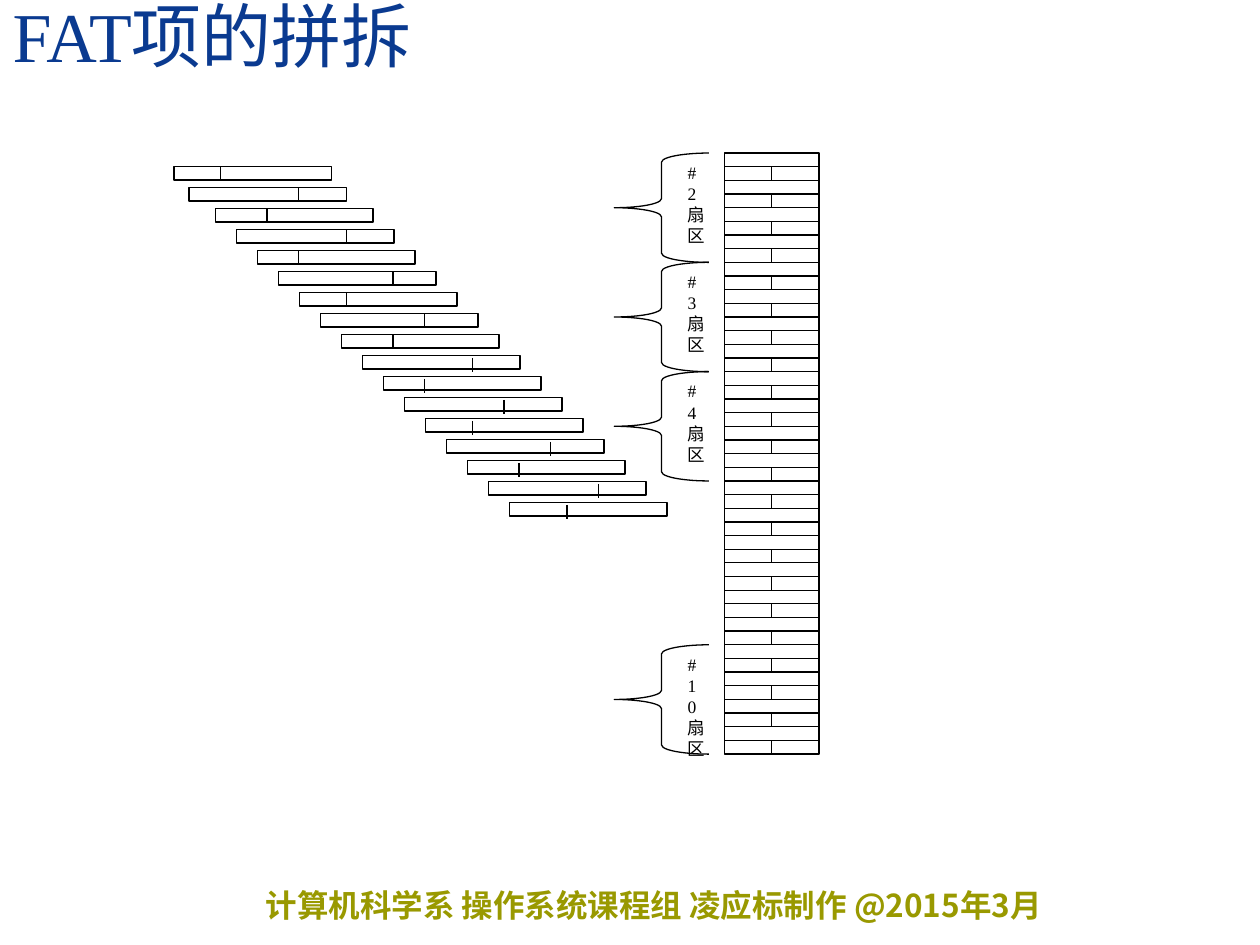
from lxml import etree
from pptx import Presentation
from pptx.dml.color import RGBColor
from pptx.enum.shapes import MSO_CONNECTOR, MSO_SHAPE
from pptx.enum.text import MSO_ANCHOR, MSO_AUTO_SIZE, PP_ALIGN
from pptx.oxml.ns import qn
from pptx.util import Inches, Pt

RECT, BRACE = MSO_SHAPE.RECTANGLE, MSO_SHAPE.LEFT_BRACE
STRAIGHT = MSO_CONNECTOR.STRAIGHT
TOP, BOTTOM = MSO_ANCHOR.TOP, MSO_ANCHOR.BOTTOM
LEFT, JUSTIFY = PP_ALIGN.LEFT, PP_ALIGN.JUSTIFY

# Content
TITLE = "FAT项的拼拆"
FOOTER = "计算机科学系 操作系统课程组 凌应标制作 @2015年3月"
SECTORS = [("#2扇区", 0), ("#3扇区", 8), ("#4扇区", 16), ("#10扇区", 36)]  # label, first row
SPLITS = [1.75, 2.37, 2.12, 2.75, 2.37, 3.12, 2.75, 3.37, 3.12,
          3.75, 3.37, 4, 3.75, 4.37, 4.12, 4.75, 4.5]  # split in each stepped bar

COLORS = {"title": "0A3A90", "footer": "999900", "line": "000000", "fill": "FFFFFF"}
SERIF, CJK = "Times New Roman", "Noto Sans CJK SC"

# Geometry in inches
BAR_W, BAR_H, BAR_TOP, STEP = 1.25, 0.11, 1.32, 1 / 6
COL_X, COL_Y, COL_W, COL_H, ROWS = 5.75, 1.215, 0.75, 4.77, 44
ROW_H = COL_H / ROWS
BRACE_X, BRACE_W, BRACE_ROWS = 4.875, 0.75, 8

prs = Presentation()
prs.slide_width, prs.slide_height = Inches(10), Inches(7.5)
s = prs.slides.add_slide(prs.slide_layouts[5])


def rgb(name):
    return RGBColor.from_string(COLORS[name])


def outline(shape):
    shape.line.color.rgb = rgb("line")
    shape.line.width = Pt(0.75)


def add_shape(kind, x, y, w, h):
    sp = s.shapes.add_shape(kind, Inches(x), Inches(y), Inches(w), Inches(h))
    sp.shadow.inherit = False
    outline(sp)
    return sp


def add_bar(x, y, w, h):
    sp = add_shape(RECT, x, y, w, h)
    sp.fill.solid()
    sp.fill.fore_color.rgb = rgb("fill")


def add_line(x1, y1, x2, y2):
    c = s.shapes.add_connector(STRAIGHT, Inches(x1), Inches(y1), Inches(x2), Inches(y2))
    outline(c)
    etree.SubElement(c._element.spPr, qn("a:effectLst"))


def write(shape, text, size, font, color, anchor=TOP, align=LEFT, before=0, bold=False):
    tf = shape.text_frame
    tf.text = text
    tf.word_wrap = True
    tf.auto_size = MSO_AUTO_SIZE.NONE
    tf.vertical_anchor = anchor
    p = tf.paragraphs[0]
    p.alignment, p.space_before = align, Pt(before)
    p.font.size, p.font.name, p.font.bold = Pt(size), font, bold
    p.font.color.rgb = rgb(color)
    rpr = p.runs[0].font._element
    etree.SubElement(rpr, qn("a:ea")).set("typeface", CJK)
    return p


# Title and footer
title = s.shapes.title
title.left, title.top, title.width, title.height = 0, 0, Inches(10), Inches(0.65)
write(title, TITLE, 40, SERIF, "title", anchor=BOTTOM).line_spacing = 0.8
footer = s.shapes.add_textbox(Inches(2.01), Inches(6.98), Inches(7.48), Inches(0.4))
write(footer, FOOTER, 18, CJK, "footer", before=11.2, bold=True)

# Stepped FAT entries, each split in two
for i, split in enumerate(SPLITS):
    x = 1.38 + 0.12 * i if i < 2 else 1.71 + STEP * (i - 2)
    y = BAR_TOP + STEP * i
    add_bar(x, y, BAR_W, BAR_H)
    tick = y + (0.02 if i >= 9 else 0)
    add_line(split, tick, split, tick + BAR_H)

# Sector column: a line under each row, a split in every second row
add_bar(COL_X, COL_Y, COL_W, COL_H)
for row in range(1, ROWS + 1):
    y = COL_Y + row * ROW_H
    add_line(COL_X, y, COL_X + COL_W, y)
    if row % 2:
        mid = COL_X + COL_W / 2
        add_line(mid, y, mid, y + ROW_H)

# Braces with sector labels
for label, row in SECTORS:
    h = BRACE_ROWS * ROW_H
    sp = add_shape(BRACE, BRACE_X, COL_Y + row * ROW_H, BRACE_W, h)
    sp.fill.background()
    sp.adjustments[0] = h / 12 / BRACE_W
    write(sp, label, 10, SERIF, "line", align=JUSTIFY, before=6.2)

prs.save("out.pptx")
